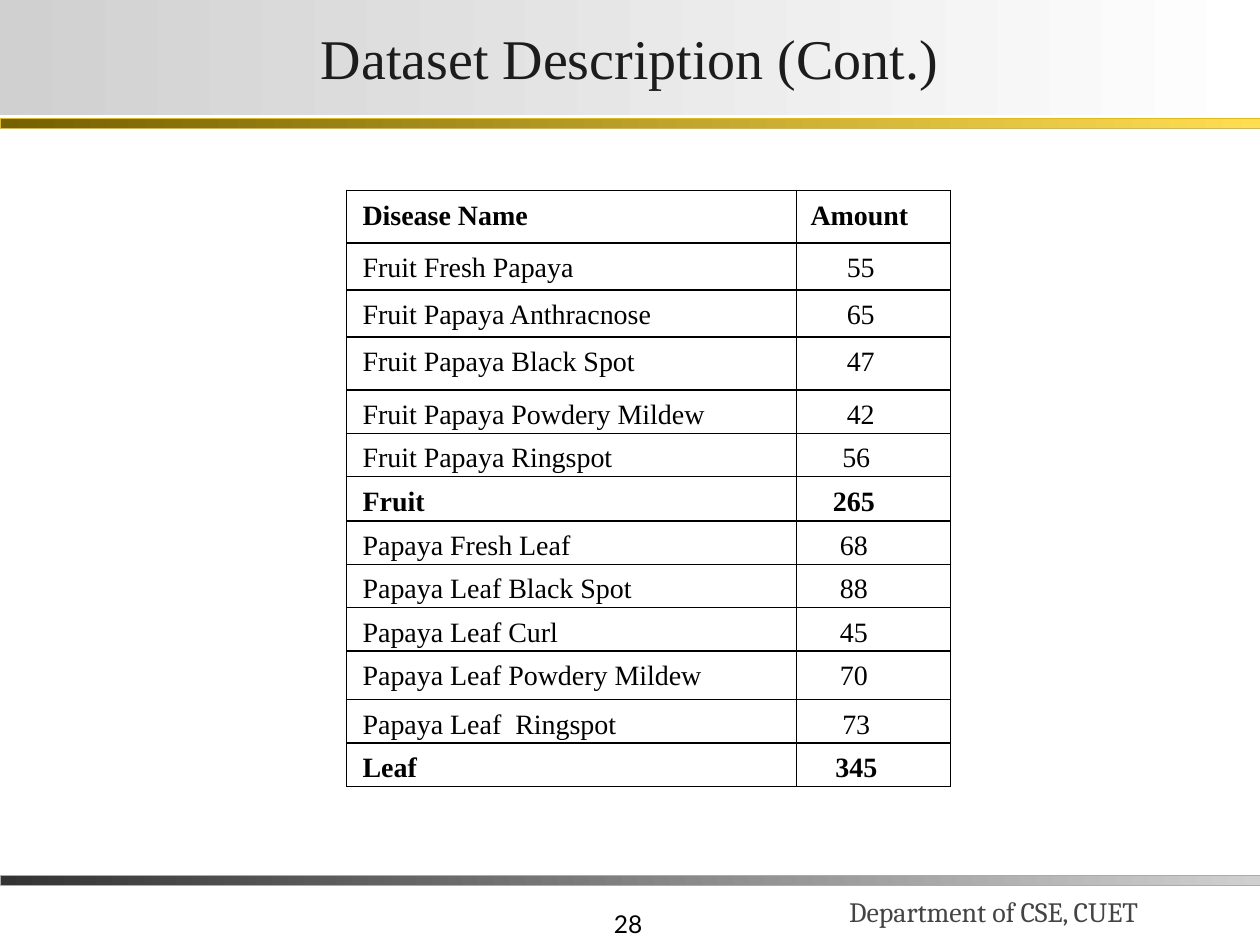
from dataclasses import dataclass

from lxml import etree
from pptx import Presentation
from pptx.dml.color import RGBColor
from pptx.enum.shapes import MSO_SHAPE
from pptx.enum.text import MSO_ANCHOR, MSO_AUTO_SIZE, PP_ALIGN
from pptx.oxml.ns import qn
from pptx.util import Cm, Pt

RECTANGLE = MSO_SHAPE.RECTANGLE
MIDDLE, BOTTOM = MSO_ANCHOR.MIDDLE, MSO_ANCHOR.BOTTOM
LEFT, CENTER, RIGHT = PP_ALIGN.LEFT, PP_ALIGN.CENTER, PP_ALIGN.RIGHT
NO_AUTOFIT = MSO_AUTO_SIZE.NONE


@dataclass(frozen=True)
class Theme:
    serif: str = "Times New Roman"
    footer_font: str = "Cambria"
    number_font: str = "Lato"
    title_size: int = 32
    body_size: int = 16
    number_size: int = 14
    title_color: str = "1C1C1C"
    footer_color: str = "444444"
    black: str = "000000"
    white: str = "FFFFFF"
    banner: tuple = ("D0D0D0", "FFFFFF")
    gold: tuple = ("766000", "FFDE53")
    gold_line: str = "E8BC00"
    gray: tuple = ("333333", "D0D0D0")
    gray_line: str = "ABABAB"


THEME = Theme()

TITLE = "Dataset Description (Cont.)"
FOOTER = "Department of CSE, CUET"
PAGE_NUMBER = "28"

# name, amount, row height in cm, indent of the amount in cm, bold
ROWS = [
    ("Disease Name", "Amount", 1.06, 0, True),
    ("Fruit Fresh Papaya", "55", 0.95, 0.73, False),
    ("Fruit Papaya Anthracnose", "65", 0.94, 0.73, False),
    ("Fruit Papaya Black Spot", "47", 1.07, 0.73, False),
    ("Fruit Papaya Powdery Mildew", "42", 0.83, 0.73, False),
    ("Fruit Papaya Ringspot", "56", 0.83, 0.64, False),
    ("Fruit", "265", 0.89, 0.45, True),
    ("Papaya Fresh Leaf", "68", 0.83, 0.59, False),
    ("Papaya Leaf Black Spot", "88", 0.83, 0.59, False),
    ("Papaya Leaf Curl", "45", 0.83, 0.59, False),
    ("Papaya Leaf Powdery Mildew", "70", 0.98, 0.59, False),
    ("Papaya Leaf  Ringspot", "73", 0.83, 0.64, False),
    ("Leaf", "345", 0.83, 0.5, True),
]
COLUMN_WIDTHS = (9.07, 3.1)
NAME_INDENT = 0.04
SLIDE_WIDTH, SLIDE_HEIGHT = 25.4, 19.05


def color(value):
    return RGBColor.from_string(value)


def place(shape, left, top, width, height):
    shape.left, shape.top = Cm(left), Cm(top)
    shape.width, shape.height = Cm(width), Cm(height)


def fill_gradient(shape, colors):
    shape.fill.gradient()
    shape.fill.gradient_angle = 0
    for stop, value in zip(shape.fill.gradient_stops, colors):
        stop.color.rgb = color(value)


def add_run(paragraph, text, font_name, size, text_color, bold=False):
    run = paragraph.add_run()
    run.text = text
    run.font.name = font_name
    run.font.size = Pt(size)
    run.font.bold = bold
    run.font.color.rgb = color(text_color)


def add_bar(slide, top, colors, line_color):
    bar = slide.shapes.add_shape(RECTANGLE, 0, Cm(top), Cm(SLIDE_WIDTH), Cm(0.2))
    bar.shadow.inherit = False
    fill_gradient(bar, colors)
    bar.line.color.rgb = color(line_color)
    bar.line.width = Pt(0.25)


def add_label(slide, box, text, align, font_name, size, text_color):
    label = slide.shapes.add_textbox(*map(Cm, box))
    frame = label.text_frame
    frame.word_wrap = True
    frame.vertical_anchor = BOTTOM
    paragraph = frame.paragraphs[0]
    paragraph.alignment = align
    add_run(paragraph, text, font_name, size, text_color)


def format_title(title):
    place(title, 0, 0, SLIDE_WIDTH, 2.31)
    fill_gradient(title, THEME.banner)
    frame = title.text_frame
    frame.auto_size = NO_AUTOFIT
    frame.vertical_anchor = MIDDLE
    frame.margin_left = frame.margin_right = Cm(0.05)
    frame.margin_top = frame.margin_bottom = Cm(0.03)
    paragraph = frame.paragraphs[0]
    paragraph.alignment = CENTER
    add_run(paragraph, TITLE, THEME.serif, THEME.title_size, THEME.title_color)


def set_borders(cell):
    properties = cell._tc.get_or_add_tcPr()
    for index, side in enumerate(("lnL", "lnR", "lnT", "lnB")):
        line = etree.Element(qn(f"a:{side}"), w=str(Pt(1)))
        fill = etree.SubElement(line, qn("a:solidFill"))
        etree.SubElement(fill, qn("a:srgbClr"), val=THEME.black)
        properties.insert(index, line)


def write_cell(cell, text, indent, bold):
    cell.fill.solid()
    cell.fill.fore_color.rgb = color(THEME.white)
    set_borders(cell)
    cell.margin_left, cell.margin_right = Cm(0.28), Cm(0.1)
    cell.margin_top, cell.margin_bottom = Cm(0.15), 0
    paragraph = cell.text_frame.paragraphs[0]
    paragraph.line_spacing = 1.07
    properties = paragraph._p.get_or_add_pPr()
    properties.set("marL", str(Cm(indent)))
    properties.set("indent", "0")
    add_run(paragraph, text, THEME.serif, THEME.body_size, THEME.black, bold)


def add_disease_table(slide):
    height = sum(row[2] for row in ROWS)
    frame = slide.shapes.add_table(
        len(ROWS), len(COLUMN_WIDTHS),
        Cm(6.99), Cm(3.84), Cm(sum(COLUMN_WIDTHS)), Cm(height))
    table = frame.table
    table.first_row = table.horz_banding = False
    for column, width in zip(table.columns, COLUMN_WIDTHS):
        column.width = Cm(width)
    for index, (name, amount, row_height, indent, bold) in enumerate(ROWS):
        table.rows[index].height = Cm(row_height)
        write_cell(table.cell(index, 0), name, NAME_INDENT, bold)
        write_cell(table.cell(index, 1), amount, indent, bold)


def main():
    presentation = Presentation()
    presentation.slide_width = Cm(SLIDE_WIDTH)
    presentation.slide_height = Cm(SLIDE_HEIGHT)
    slide = presentation.slides.add_slide(presentation.slide_layouts[5])
    add_label(slide, (7.92, 17.78, 5.28, 1.27), PAGE_NUMBER, RIGHT,
              THEME.number_font, THEME.number_size, THEME.black)
    add_label(slide, (16.87, 17.27, 8.74, 1.57), FOOTER, LEFT,
              THEME.footer_font, THEME.body_size, THEME.footer_color)
    add_bar(slide, 17.65, THEME.gray, THEME.gray_line)
    add_bar(slide, 2.39, THEME.gold, THEME.gold_line)
    format_title(slide.shapes.title)
    add_disease_table(slide)
    presentation.save("out.pptx")


if __name__ == "__main__":
    main()
